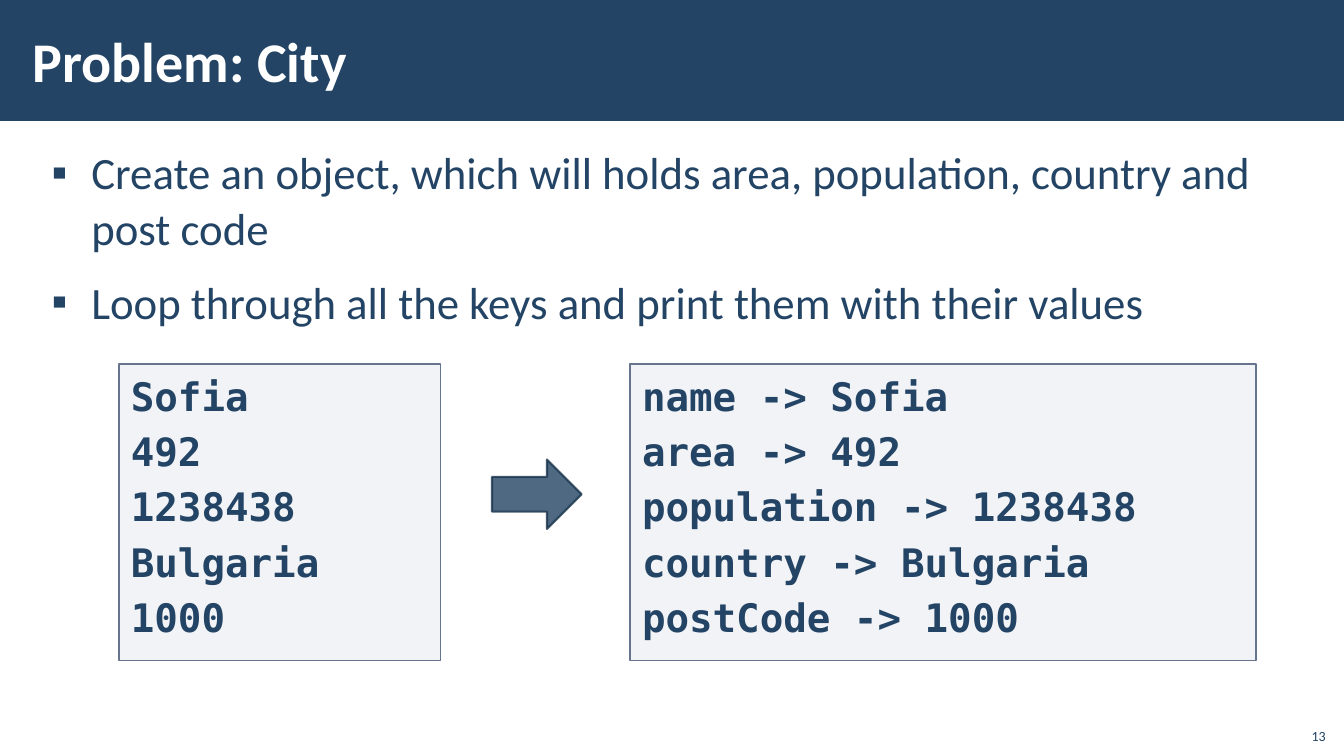
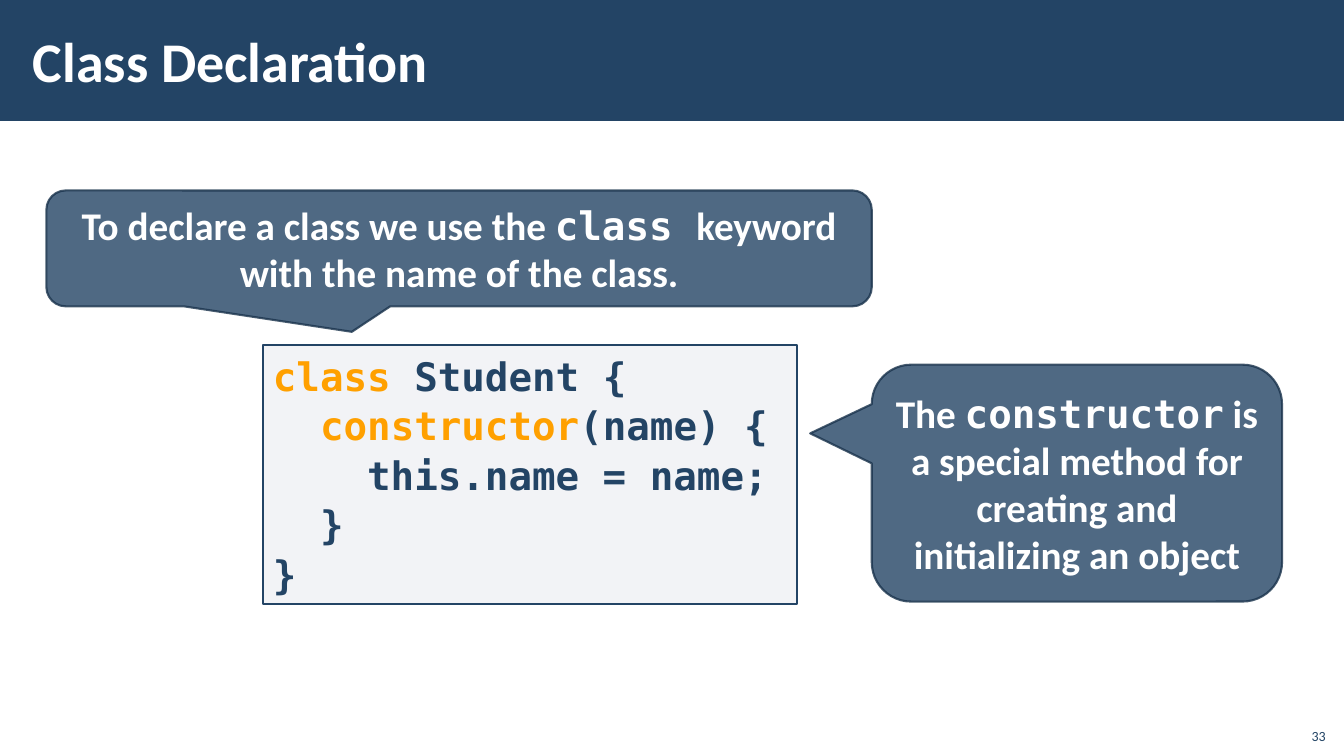
from dataclasses import dataclass

from lxml.etree import SubElement
from pptx import Presentation
from pptx.dml.color import RGBColor
from pptx.enum.shapes import MSO_SHAPE
from pptx.enum.text import MSO_ANCHOR, MSO_AUTO_SIZE, PP_ALIGN
from pptx.oxml.ns import qn
from pptx.util import Cm, Pt


@dataclass(frozen=True)
class TextStyle:
    size: float
    color: str
    font: str = "Calibri"
    bold: bool = False


@dataclass(frozen=True)
class Surface:
    """Fill and outline of a shape; opacities in percent."""
    fill: str
    line: str
    width: float
    fill_opacity: int = 100
    line_opacity: int = 100


class Theme:
    navy = "234465"
    white = "FFFFFF"
    orange = "FFA000"
    mono = "DejaVu Sans Mono"

    title = TextStyle(40, white, bold=True)
    body = TextStyle(32, navy)
    page_number = TextStyle(10, navy)
    code = TextStyle(28, navy, mono, True)
    keyword = TextStyle(28, orange, mono, True)
    callout = TextStyle(28, white, bold=True)
    callout_code = TextStyle(28, white, mono, True)

    band = Surface(navy, navy, 0)
    data_panel = Surface("ADB4C3", "67748E", 1, fill_opacity=15)
    code_panel = Surface("ADB4C3", navy, 1, fill_opacity=15)
    accent = Surface(navy, "1A334C", 1.5, 80, 80)


TITLE_LAYOUT, LIST_LAYOUT = 5, 1


def place(shape, left, top, width, height):
    shape.left, shape.top = Cm(left), Cm(top)
    shape.width, shape.height = Cm(width), Cm(height)


def paint(shape, surface):
    shape.shadow.inherit = False
    shape.fill.solid()
    shape.fill.fore_color.rgb = RGBColor.from_string(surface.fill)
    if surface.width:
        shape.line.color.rgb = RGBColor.from_string(surface.line)
        shape.line.width = Pt(surface.width)
    else:
        shape.line.fill.background()
    colors = shape.element.spPr.iter(qn("a:srgbClr"))
    for color, opacity in zip(colors, (surface.fill_opacity, surface.line_opacity)):
        if opacity < 100:
            SubElement(color, qn("a:alpha")).set("val", str(opacity * 1000))


def add_runs(paragraph, runs):
    for text, style in runs:
        run = paragraph.add_run()
        run.text = text
        run.font.size = Pt(style.size)
        run.font.name = style.font
        run.font.bold = style.bold
        run.font.color.rgb = RGBColor.from_string(style.color)


def write(frame, paragraphs, align=PP_ALIGN.LEFT, anchor=MSO_ANCHOR.TOP,
          spacing=1.0, before=0, after=0, insets=(0.25, 0.13)):
    """Fill a text frame; each paragraph is a list of (text, style) runs."""
    frame.word_wrap = True
    frame.auto_size = MSO_AUTO_SIZE.NONE
    frame.vertical_anchor = anchor
    frame.margin_left = frame.margin_right = Cm(insets[0])
    frame.margin_top = frame.margin_bottom = Cm(insets[1])
    for index, runs in enumerate(paragraphs):
        paragraph = frame.add_paragraph() if index else frame.paragraphs[0]
        paragraph.alignment = align
        paragraph.line_spacing = spacing
        paragraph.space_before, paragraph.space_after = Pt(before), Pt(after)
        add_runs(paragraph, runs)


def add_shape(slide, kind, box, surface):
    shape = slide.shapes.add_shape(kind, *map(Cm, box))
    paint(shape, surface)
    return shape


def add_master_band(prs, slide):
    """Draw the title band and move it behind everything on the master."""
    band = add_shape(slide, MSO_SHAPE.RECTANGLE, (0, 0, 33.87, 3.05), Theme.band)
    band.element.nvSpPr.cNvPr.id = 20
    prs.slide_master.shapes.element.insert(2, band.element)


def add_slide(prs, layout, title, number):
    slide = prs.slides.add_slide(prs.slide_layouts[layout])
    place(slide.shapes.title, 0.53, 0.28, 27, 2.46)
    write(slide.shapes.title.text_frame, [[(title, Theme.title)]],
          anchor=MSO_ANCHOR.MIDDLE, insets=(0.3, 0.1))
    page = slide.shapes.add_textbox(Cm(32.64), Cm(18.08), Cm(1.02), Cm(0.81))
    write(page.text_frame, [[(str(number), Theme.page_number)]],
          align=PP_ALIGN.RIGHT, anchor=MSO_ANCHOR.BOTTOM)
    return slide


def fill_list(slide, items):
    body = slide.placeholders[1]
    place(body, 1, 3.48, 31.9, 5.72)
    write(body.text_frame, [[(item, Theme.body)] for item in items],
          spacing=1.05, before=6, after=6, insets=(0.3, 0.1))
    for paragraph in body.text_frame.paragraphs:
        properties = paragraph._p.get_or_add_pPr()
        properties.set("marL", str(Cm(1)))
        properties.set("indent", str(Cm(-1)))
        SubElement(properties, qn("a:buChar")).set("char", "▪")


def add_data_panel(slide, box, lines):
    panel = add_shape(slide, MSO_SHAPE.RECTANGLE, box, Theme.data_panel)
    write(panel.text_frame, [[(line, Theme.code)] for line in lines],
          before=6, insets=(0.3, 0.2))
    return panel


def add_callout(slide, box, pointer, runs):
    """Add a speech bubble; pointer is the tip's offset from its centre."""
    bubble = add_shape(slide, MSO_SHAPE.ROUNDED_RECTANGULAR_CALLOUT, box, Theme.accent)
    bubble.adjustments[0], bubble.adjustments[1] = pointer
    write(bubble.text_frame, [runs], align=PP_ALIGN.CENTER, anchor=MSO_ANCHOR.MIDDLE)


def build_city_problem(prs):
    slide = add_slide(prs, LIST_LAYOUT, "Problem: City", 13)
    add_master_band(prs, slide)
    fill_list(slide, [
        "Create an object, which will holds area, population, country and post code",
        "Loop through all the keys and print them with their values",
    ])
    city = {"name": "Sofia", "area": "492", "population": "1238438",
            "country": "Bulgaria", "postCode": "1000"}
    values = add_data_panel(slide, (3, 9.17, 8.1, 7.48), city.values())
    printed = add_data_panel(slide, (15.88, 9.17, 15.77, 7.48),
                             [f"{key} -> {value}" for key, value in city.items()])
    slide.shapes.add_group_shape([values, printed])
    add_shape(slide, MSO_SHAPE.RIGHT_ARROW, (12.4, 11.58, 2.26, 1.75), Theme.accent)


def build_class_declaration(prs):
    slide = add_slide(prs, TITLE_LAYOUT, "Class Declaration", 33)
    listing = add_shape(slide, MSO_SHAPE.RECTANGLE, (6.63, 8.69, 13.46, 6.53),
                        Theme.code_panel)
    write(listing.text_frame, [
        [("class", Theme.keyword), (" Student {", Theme.code)],
        [("  ", Theme.code), ("constructor", Theme.keyword), ("(name) {", Theme.code)],
        [("    this.name = name;", Theme.code)],
        [("  }", Theme.code)],
        [("}", Theme.code)],
    ], spacing=1.05)
    add_callout(slide, (1.17, 4.8, 20.8, 2.92), (-0.13, 0.72), [
        ("To declare a class we use the ", Theme.callout),
        ("class ", Theme.callout_code),
        ("keyword with the name of the class.", Theme.callout),
    ])
    add_callout(slide, (21.97, 9.19, 10.34, 5.97), (-0.65, -0.21), [
        ("The ", Theme.callout),
        ("constructor", Theme.callout_code),
        (" is a special method for creating and initializing an object", Theme.callout),
    ])


def main():
    prs = Presentation()
    prs.slide_width, prs.slide_height = Cm(33.87), Cm(19.05)
    build_city_problem(prs)
    build_class_declaration(prs)
    prs.save("out.pptx")


if __name__ == "__main__":
    main()
